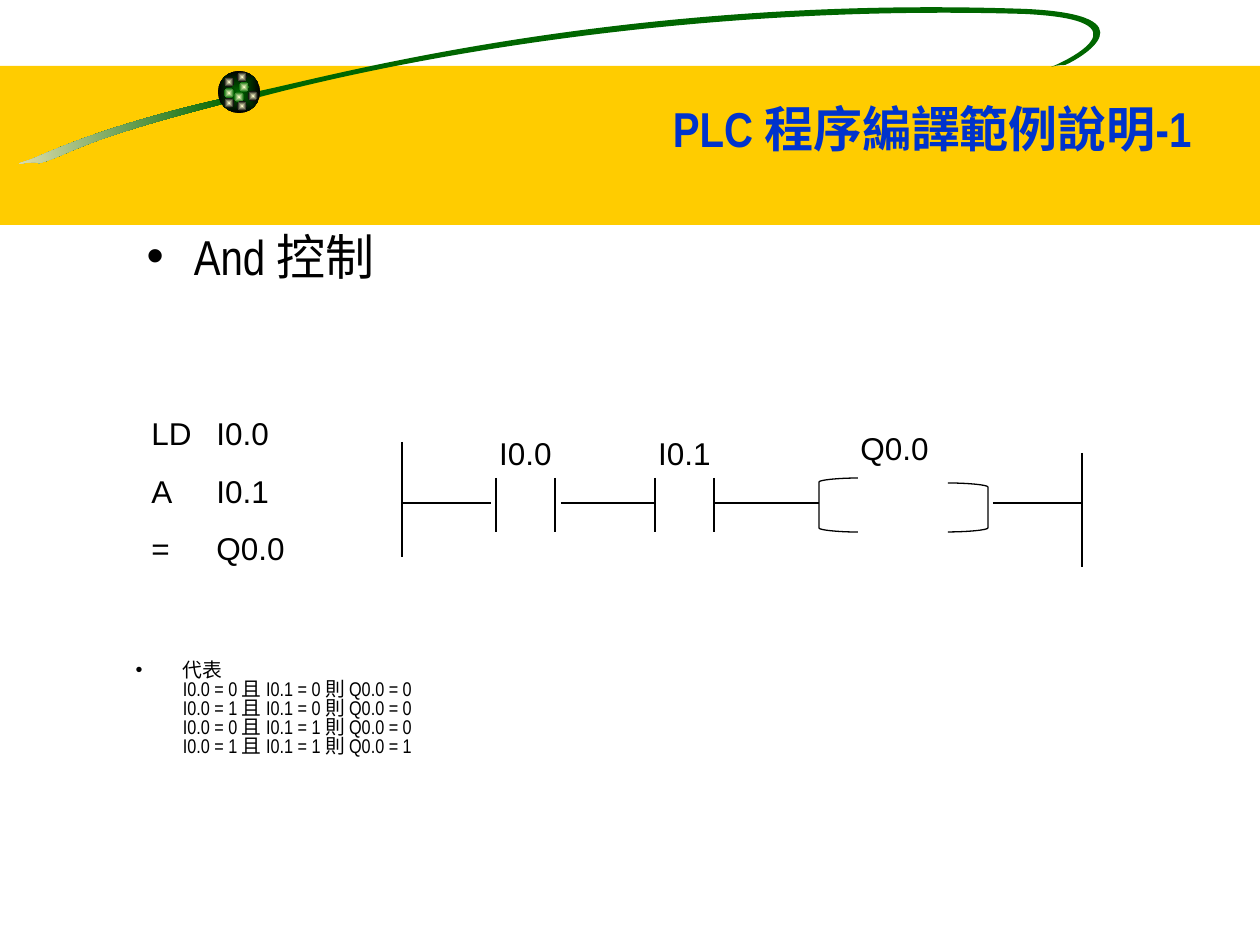
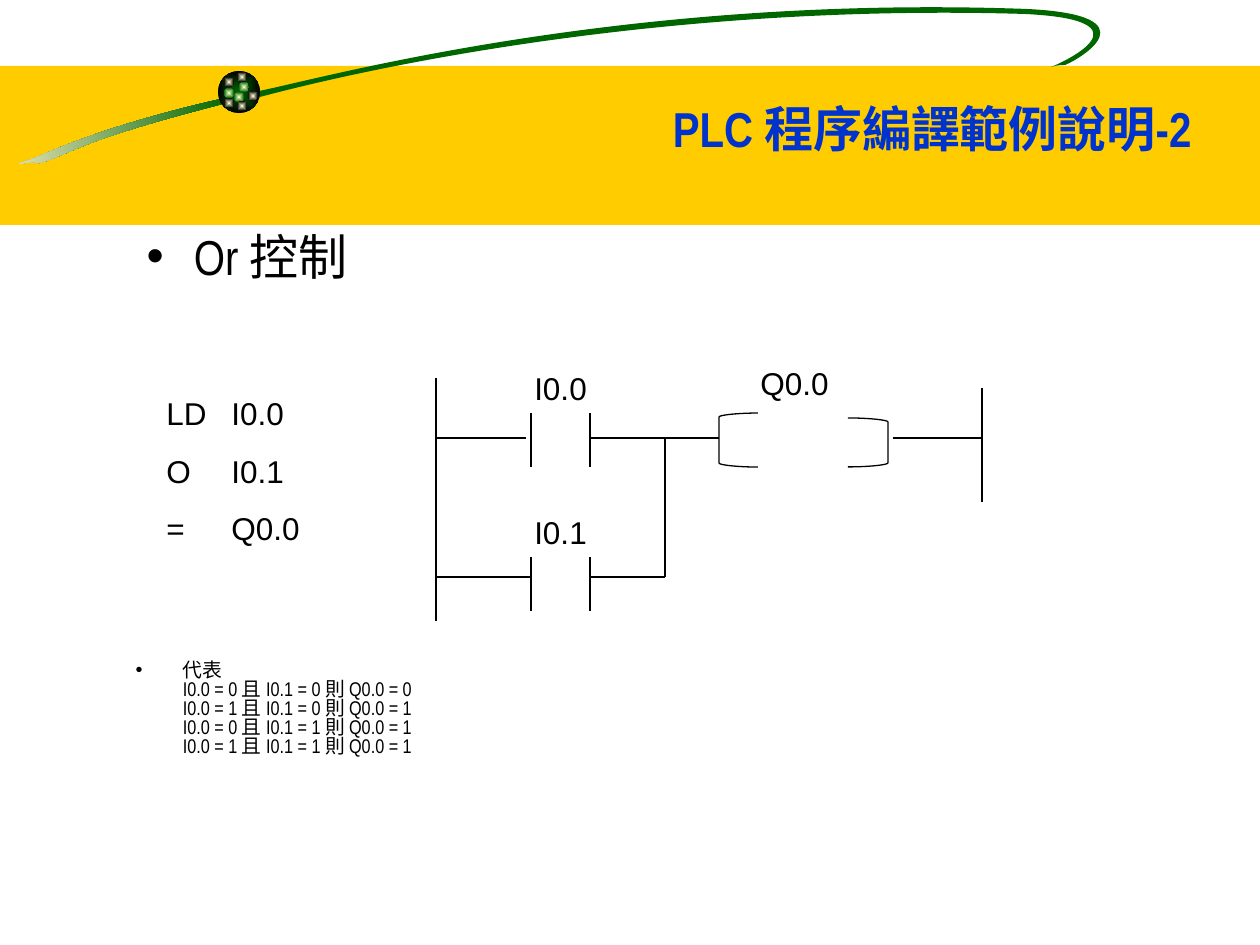
import copy
import math
import lxml.etree
import pptx
import pptx.dml.color
import pptx.enum.shapes
import pptx.enum.text
import pptx.oxml.ns
import pptx.util

GREEN, GOLD, BLUE = "006600", "FFCC00", "0033CC"
CREAM, PALE, BLACK, WHITE = "F5EBC1", "FFFFCC", "000000", "FFFFFF"
NARROW, SANS = "Arial Narrow", "Arial"

SLIDES = [
    {
        "title": "PLC 程序編譯範例說明-1",
        "heading": "And 控制",
        "heading_height": 213,
        "outputs": [0, 0, 0, 1],
        "code": ["LD\tI0.0", "A\tI0.1", "=\tQ0.0"],
        "code_at": (139, 408),
        "contacts": [(496, 478, "I0.0"), (655, 478, "I0.1")],
        "coil": (819, 478, "Q0.0"),
        "wires": [
            (402, 442, 402, 557), (402, 503, 491, 503),
            (561, 503, 655, 503), (714, 503, 819, 503),
        ],
    },
    {
        "title": "PLC 程序編譯範例說明-2",
        "heading": "Or 控制",
        "heading_height": 78,
        "outputs": [0, 1, 1, 1],
        "code": ["LD\tI0.0", "O\tI0.1", "=\tQ0.0"],
        "code_at": (154, 388),
        "contacts": [(531, 413, "I0.0"), (531, 557, "I0.1")],
        "coil": (719, 413, "Q0.0"),
        "wires": [
            (436, 378, 436, 621), (436, 438, 526, 438),
            (590, 438, 719, 438), (436, 577, 531, 577),
            (590, 577, 665, 577), (665, 577, 665, 438),
        ],
    },
]
INPUTS = [(0, 0), (1, 0), (0, 1), (1, 1)]

TILT = 351.5
TAIL_CENTER, RING_CENTER = (112, 134), (704, 50)
TAIL = [
    (224, 98),
    (115, 123, 62, 146, 32, 159),
    (1, 169, 33, 159, 39, 163),
    (72, 154, 72, 142, 226, 103),
    (226, 103, 224, 98, 224, 98),
]
RING = [
    (254, 92),
    (310, 82, 612, -6, 1026, 9),
    (1155, 15, 1080, 59, 1065, 65),
    (1065, 65, 1056, 65, 1051, 67),
    (1064, 62, 1154, 20, 1024, 14),
    (690, 4, 403, 59, 260, 97),
    (260, 97, 254, 92, 254, 92),
]
DOTS = [
    (239, 82, GREEN), (224, 77, BLACK), (224, 88, GREEN),
    (234, 92, GREEN), (248, 91, BLACK), (237, 101, BLACK),
    (224, 98, BLACK), (237, 72, BLACK),
]
CONTACT_WIDTH, CONTACT_HEIGHT = 59, 54


def px(count):
    return pptx.util.Emu(round(count * 914400 / 126))


def tag(name):
    return pptx.oxml.ns.qn(name)


def color(code):
    return pptx.dml.color.RGBColor.from_string(code)


def place(shape, left, top, width, height):
    shape.left, shape.top = px(left), px(top)
    shape.width, shape.height = px(width), px(height)


def write(frame, text, font=SANS, size=18, ink=BLACK, bold=False, align=None,
          anchor="TOP", before=11.2, spacing=None, tab=None, rtl=False):
    frame.text = text
    frame.word_wrap = True
    frame.auto_size = pptx.enum.text.MSO_AUTO_SIZE.NONE
    frame.vertical_anchor = getattr(pptx.enum.text.MSO_ANCHOR, anchor)
    for para in frame.paragraphs:
        para.space_before = pptx.util.Pt(before)
        if align:
            para.alignment = getattr(pptx.enum.text.PP_ALIGN, align)
        if spacing:
            para.line_spacing = spacing
        if rtl:
            para._p.get_or_add_pPr().set("rtl", "1")
        if tab:
            stops = lxml.etree.SubElement(para._p.get_or_add_pPr(), tag("a:tabLst"))
            lxml.etree.SubElement(stops, tag("a:tab"), pos=str(px(tab)), algn="l")
        for span in para.runs:
            span.font.name, span.font.size = font, pptx.util.Pt(size)
            span.font.bold, span.font.color.rgb = bold, color(ink)
        for line_break in para._p.findall(tag("a:br")):
            line_break.append(copy.deepcopy(para.runs[0]._r.rPr))


def paint(shape, fill, end=None, angle=0, radial=False, alpha=None):
    shape.shadow.inherit = False
    shape.line.fill.background()
    if not end:
        shape.fill.solid()
        shape.fill.fore_color.rgb = color(fill)
        if alpha:
            tint = shape.element.spPr.find(tag("a:solidFill"))[0]
            lxml.etree.SubElement(tint, tag("a:alpha"), val=str(alpha * 1000))
        return shape
    shape.fill.gradient()
    shape.fill.gradient_angle = angle
    for stop, code in zip(shape.fill.gradient_stops, (fill, end)):
        stop.color.rgb = color(code)
    if radial:
        gradient = shape.element.spPr.find(tag("a:gradFill"))
        gradient.remove(gradient.find(tag("a:lin")))
        center = lxml.etree.SubElement(gradient, tag("a:path"), path="rect")
        lxml.etree.SubElement(center, tag("a:fillToRect"),
                              {side: "50000" for side in "ltrb"})
    return shape


def outline(page, segments, close):
    points = [(px(x), px(y)) for segment in segments
              for x, y in zip(segment[::2], segment[1::2])]
    builder = page.shapes.build_freeform(*points[0])
    builder.add_line_segments(points[1:], close=close)
    shape = builder.convert_to_shape()
    shape.shadow.inherit = False
    steps = list(shape.element.spPr.iter(tag("a:lnTo")))
    for segment in segments[1:]:
        count = len(segment) // 2
        first, *others = steps[:count]
        steps = steps[count:]
        if others:
            first.addprevious(curve := first.makeelement(tag("a:cubicBezTo")))
            for step in (first, *others):
                curve.append(step[0])
                step.getparent().remove(step)
    return shape


def tilted(page, segments, center):
    cosine, sine = math.cos(math.radians(TILT)), math.sin(math.radians(TILT))
    level = []
    for segment in segments:
        turned = []
        for x, y in zip(segment[::2], segment[1::2]):
            across, down = x - center[0], y - center[1]
            turned += [center[0] + across * cosine + down * sine,
                       center[1] - across * sine + down * cosine]
        level.append(turned)
    shape = outline(page, level, True)
    shape.rotation = TILT
    return shape


def preset(page, kind, left, top, width, height):
    kind = getattr(pptx.enum.shapes.MSO_SHAPE, kind)
    return page.shapes.add_shape(kind, px(left), px(top), px(width), px(height))


def decorate(layout, page):
    parts = [
        paint(preset(page, "RECTANGLE", 0, 66, 1260, 159), GOLD),
        paint(tilted(page, TAIL, TAIL_CENTER), GREEN, CREAM, angle=180),
        paint(tilted(page, RING, RING_CENTER), GREEN),
        paint(preset(page, "OVAL", 218, 71, 42, 42), GREEN, BLACK, radial=True),
    ]
    for left, top, rim in DOTS:
        parts.append(paint(preset(page, "OVAL", left, top, 10, 10), PALE, rim, radial=True))
    parts.append(paint(preset(page, "RECTANGLE", 93, 260, 154, 685), WHITE, alpha=50))
    for position, part in enumerate(parts, start=2):
        layout.shapes.element.insert(position, part.element)


def draw_wire(page, *ends):
    kind = pptx.enum.shapes.MSO_CONNECTOR.STRAIGHT
    wire = page.shapes.add_connector(kind, *map(px, ends))
    wire.line.color.rgb = color(BLACK)
    wire.line.width = pptx.util.Pt(0.75)
    lxml.etree.SubElement(wire.element.spPr, tag("a:effectLst"))


def draw_bracket(page, tip, wall, top, bottom):
    middle = (tip + wall) / 2
    shape = outline(page, [
        (tip, top),
        (middle, top, wall, top + 2, wall, top + 4),
        (wall, bottom - 4),
        (wall, bottom - 2, middle, bottom, tip, bottom),
    ], False)
    shape.fill.background()
    shape.line.color.rgb = color(BLACK)
    shape.line.width = pptx.util.Pt(0.75)


def add_text(page, text, left, top, width, height, **style):
    box = page.shapes.add_textbox(px(left), px(top), px(width), px(height))
    write(box.text_frame, text, **style)


def draw_contact(page, left, top, name):
    for x in (left, left + CONTACT_WIDTH):
        draw_wire(page, x, top, x, top + CONTACT_HEIGHT)
    add_text(page, name, left - 30, top - 50, 119, 50, align="CENTER")


def draw_coil(page, left, top, name):
    bottom, rail = top + CONTACT_HEIGHT, left + 263
    draw_bracket(page, left + 39, left, top, bottom)
    draw_bracket(page, left + 129, left + 169, top + 5, bottom)
    draw_wire(page, left + 174, top + 25, rail, top + 25)
    draw_wire(page, rail, top - 25, rail, top + 89)
    add_text(page, name, left + 29, top - 55, 119, 50)


def fill_page(page, content):
    title, heading, truth = page.placeholders
    place(title, 44, 76, 1160, 88)
    write(title.text_frame, content["title"], font=NARROW, size=28, ink=BLUE,
          bold=True, align="RIGHT", anchor="BOTTOM", before=0, rtl=True)
    place(heading, 134, 220, 1063, content["heading_height"])
    write(heading.text_frame, content["heading"], font=NARROW, size=28, before=7)
    rows = [f"I0.0 = {first} 且 I0.1 = {second} 則 Q0.0 = {output}"
            for (first, second), output in zip(INPUTS, content["outputs"])]
    place(truth, 123, 656, 1063, 168)
    write(truth.text_frame, "\v".join(["代表", *rows, ""]), font=NARROW, size=11.3,
          before=4.5, spacing=0.8)
    for wire in content["wires"]:
        draw_wire(page, *wire)
    for contact in content["contacts"]:
        draw_contact(page, *contact)
    draw_coil(page, *content["coil"])
    add_text(page, "\n".join(content["code"]), *content["code_at"], 258, 166, tab=65)


def main():
    deck = pptx.Presentation()
    deck.slide_width, deck.slide_height = px(1260), px(945)
    layout = deck.slide_layouts[3]
    pages = [deck.slides.add_slide(layout) for _ in SLIDES]
    decorate(layout, pages[0])
    for page, content in zip(pages, SLIDES):
        fill_page(page, content)
    deck.save("out.pptx")


if __name__ == "__main__":
    main()
